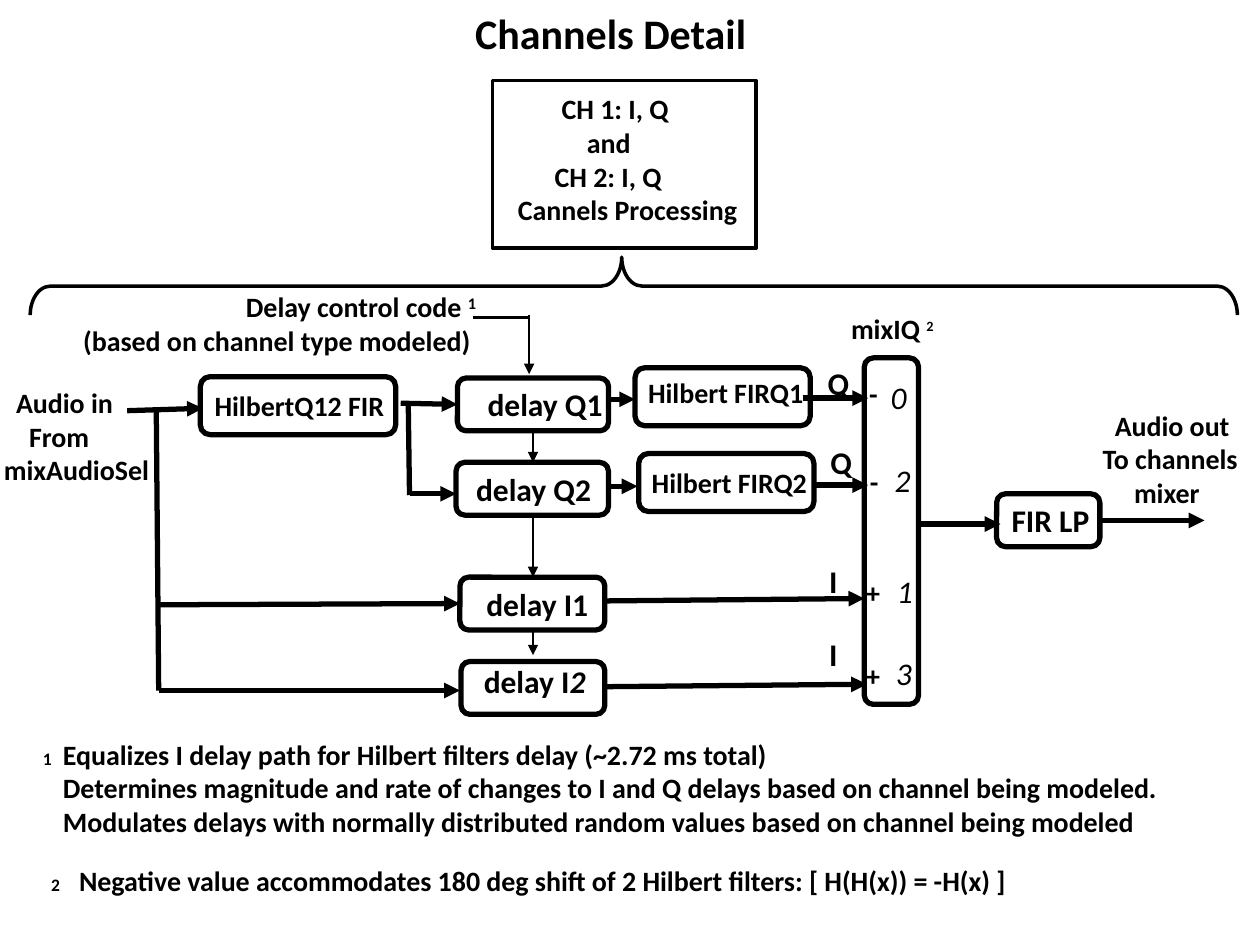
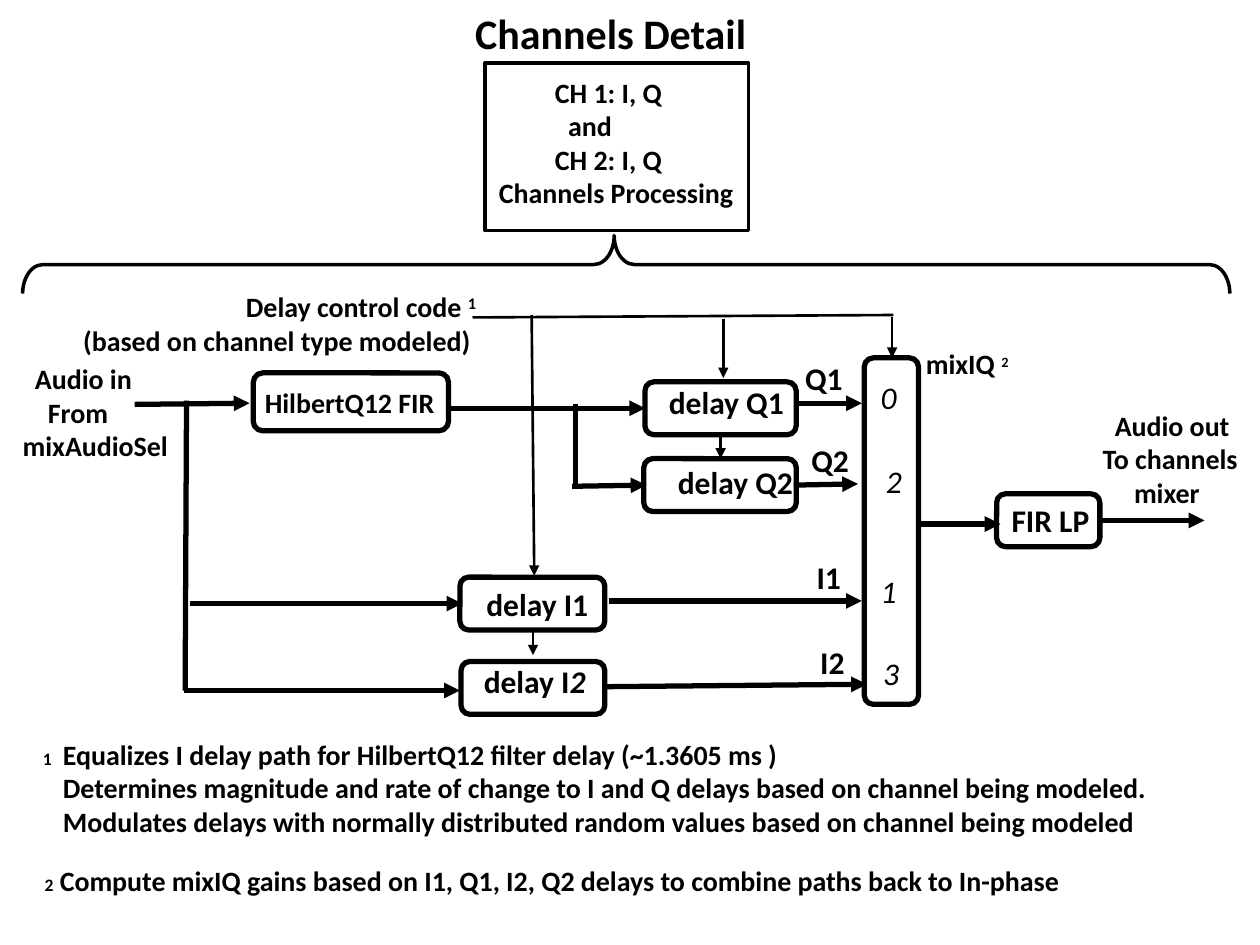
from lxml.etree import SubElement
from pptx import Presentation
from pptx.dml.color import RGBColor
from pptx.enum.shapes import MSO_CONNECTOR, MSO_SHAPE
from pptx.enum.text import MSO_ANCHOR, MSO_AUTO_SIZE, PP_ALIGN
from pptx.oxml.ns import qn
from pptx.util import Pt

INK = "000000"
FONT = "Calibri"
THICK, MEDIUM, THIN = 3, 2, 1.5
NUMBER = {"sz": "1000"}
RAISED = {"baseline": "30000"}
ROUND, RECTANGLE = MSO_SHAPE.ROUNDED_RECTANGLE, MSO_SHAPE.RECTANGLE


def write(frame, lines, size, bold=True, italic=False, align=PP_ALIGN.LEFT, insets=(0, 0, 0, 0)):
    """Fill a frame with lines of (indent, run, ...); a run is a string or (string, attributes).

    A first run that ends in a tab hangs to the left of the indent.
    """
    frame.word_wrap = True
    frame.auto_size = MSO_AUTO_SIZE.NONE
    frame.margin_left, frame.margin_top, frame.margin_right, frame.margin_bottom = map(Pt, insets)
    for number, (indent, *runs) in enumerate(lines):
        paragraph = frame.add_paragraph() if number else frame.paragraphs[0]
        paragraph.alignment = align
        properties = paragraph._p.get_or_add_pPr()
        properties.set("marL", str(Pt(indent)))
        for text in runs:
            text, attributes = (text, {}) if isinstance(text, str) else text
            run = paragraph.add_run()
            run.text = text
            for name, value in attributes.items():
                run._r.get_or_add_rPr().set(name, value)
        properties.set("indent", str(-Pt(indent) if paragraph.runs[0].text.endswith("\t") else 0))
        paragraph.font.name = FONT
        paragraph.font.size = Pt(size)
        paragraph.font.bold = bold
        paragraph.font.italic = italic
        paragraph.font.color.rgb = RGBColor.from_string(INK)


def outline(shape, width, arrow=False):
    """Draw a line of the given width, without shadow."""
    shape.line.color.rgb = RGBColor.from_string(INK)
    shape.line.width = Pt(width)
    if arrow:
        SubElement(shape.line._get_or_add_ln(), qn("a:tailEnd"), type="triangle")
    SubElement(shape._element.spPr, qn("a:effectLst"))


# Boxes: preset, left, top, width, height, line width, lines, text size, left inset, rise of text
shared_boxes = [
    (ROUND, 262.8, 329.8, 82.8, 30.2, THICK, [(0, "delay I1")], 18, 13.7, 0),
    (ROUND, 263.5, 378, 82.1, 30.2, THICK, [(0, "delay I", ("2", {"i": "1"}))], 18, 11.5, 4.3),
    (ROUND, 569.5, 282.2, 59, 30.2, THICK, [(0, "FIR LP")], 18, 7.2, 0),
    (ROUND, 493.9, 204.5, 31, 198, THICK, [], 18, 0, 0),
]
# Lines: from x, from y, to x, to y, width, arrowhead
shared_lines = [
    (628.6, 297.4, 688.3, 297.4, THICK, True),
    (524.9, 299.5, 571.7, 299.5, THICK, True),
    (345.6, 392.4, 495.4, 391, THICK, True),
    (304.6, 360, 304.6, 374.4, THIN, True),
]
# Texts: left, top, width, lines
audio_in = [(7, "Audio in"), (14.4, "From"), (0, "mixAudioSel")]
mixer_name = [(0, "mixIQ ", ("2", {"sz": "1400", **RAISED}))]
modulation_note = (11.5, "Modulates delays with normally distributed random values based on channel being modeled")
shared_texts = [
    (630, 233.3, 85, [(7, "Audio out"), (0, "To channels"), (18, "mixer")]),
    (47.5, 165.6, 240, [(93, "Delay control code ", ("1", RAISED)),
                        (0, "(based on channel type modeled)")]),
]

hilbert_filters = {
    "brace": (345.6, -181.4),
    "boxes": [
        (RECTANGLE, 281.5, 46.1, 150.5, 95.8, MEDIUM,
         [(25, "CH 1: I, Q"), (39.5, "and"), (21, "CH 2: I, Q"), (0, "Cannels Processing")], 16, 14.4, 3),
        (ROUND, 114.5, 215.3, 111.6, 33.1, THICK, [(0, "HilbertQ12 FIR")], 16, 6.5, 0),
        (ROUND, 261.4, 216, 86.4, 30.2, THICK, [(0, "delay Q1")], 18, 15.8, 0),
        (ROUND, 260.6, 264.2, 87.1, 30.2, THICK, [(0, "delay Q2")], 18, 10, 0),
        (ROUND, 362.9, 210.2, 100.1, 33.1, THICK, [(0, "Hilbert FIRQ1")], 16, 5.8, 2.5),
        (ROUND, 365, 259.2, 100.1, 33.1, THICK, [(0, "Hilbert FIRQ2")], 16, 5.8, 0),
    ],
    "lines": [
        (72.7, 234.7, 115.9, 233.3, THICK, True),
        (90.7, 394.6, 89.3, 234.7, THICK, False),
        (89.3, 345.6, 262.8, 344.9, THICK, True),
        (90.7, 394.6, 262.8, 394.6, THICK, True),
        (229, 230.4, 261.4, 231.1, THICK, True),
        (234, 283, 233.3, 231.1, THICK, False),
        (234, 282.2, 260.6, 282.2, THICK, True),
        (347, 228.2, 362.9, 228.2, THICK, True),
        (349.2, 277.9, 364.3, 277.9, THICK, True),
        (458.6, 227.5, 496.1, 227.5, THICK, True),
        (465.1, 277.2, 496.1, 277.2, THICK, True),
        (344.9, 343.4, 493.9, 342, THICK, True),
        (270, 181.4, 302.4, 181.4, THIN, False),
        (302.4, 180, 302.4, 213.8, THIN, True),
        (304.6, 246.2, 304.6, 264.2, THIN, True),
        (304.6, 294.5, 304.6, 329.8, THIN, True),
    ],
    "texts": [
        (2.2, 220.3, 100, audio_in),
        (486.3, 177.8, 70, mixer_name),
        (496.6, 215.3, 14, [(0, "-")]),
        (497.1, 265.7, 14, [(0, "-")]),
        (494.9, 329, 14, [(0, "+")]),
        (494.9, 376.6, 14, [(0, "+")]),
        (24.5, 421.2, 690, [
            (11.5, ("1\t", NUMBER), "Equalizes I delay path for Hilbert filters delay (~2.72 ms total)"),
            (11.5, "Determines magnitude and rate of changes to I and Q delays based on channel being modeled."),
            modulation_note]),
        (29.2, 493.2, 620, [
            (16, ("2\t", NUMBER),
             "Negative value accommodates 180 deg shift of 2 Hilbert filters: [ H(H(x)) = -H(x) ]")]),
    ],
    "paths": [("Q", 473, 208.1), ("Q", 474.5, 253.4), ("I", 473.8, 321.1), ("I", 473.8, 362.9)],
    "inputs": [("0", 509, 216), ("2", 511.2, 263.5), ("1", 512.6, 326.9), ("3", 511.9, 373.7)],
}

mixer_gains = {
    "brace": (341.3, -193.7),
    "boxes": [
        (RECTANGLE, 277.2, 36, 150.5, 95.8, MEDIUM,
         [(32, "CH 1: I, Q"), (39.5, "and"), (32, "CH 2: I, Q"), (0, "Channels Processing")], 16, 7.9, 2.5),
        (ROUND, 144.7, 213.1, 111.6, 33.1, THICK, [(0, "HilbertQ12 FIR")], 16, 5, 0),
        (ROUND, 368.6, 218.2, 86.4, 30.2, THICK, [(0, "delay Q1")], 18, 12.2, 3.6),
        (ROUND, 367.9, 262.1, 87.1, 30.2, THICK, [(0, "delay Q2")], 18, 18, 2),
    ],
    "lines": [
        (77, 231.1, 142.6, 230.4, THICK, True),
        (105.8, 394.6, 106.6, 229, THICK, False),
        (108.7, 344.9, 264.2, 344.9, THICK, True),
        (105.1, 394.6, 262.8, 394.6, THICK, True),
        (254.9, 233.3, 368.6, 233.3, THICK, True),
        (329, 279.4, 329, 231.1, THICK, False),
        (326.9, 277.9, 369.4, 277.2, THICK, True),
        (455, 230.4, 492.5, 230.4, THICK, True),
        (453.6, 277.2, 490.3, 276.5, THICK, True),
        (347.8, 343.4, 492.5, 343.4, THICK, True),
        (270, 181.4, 510.5, 180, THIN, False),
        (303.8, 180, 305.3, 329, THIN, True),
        (413.3, 182.2, 413.3, 216, THIN, True),
        (411.8, 247.7, 411.8, 262.1, THIN, True),
        (509.8, 181.4, 509.8, 204.5, THIN, True),
    ],
    "texts": [
        (13, 206.6, 100, audio_in),
        (529.1, 198, 70, mixer_name),
        (24.5, 421.2, 690, [
            (11.5, ("1\t", NUMBER), "Equalizes I delay path for HilbertQ12 filter delay (~1.3605 ms )"),
            (11.5, "Determines magnitude and rate of change to I and Q delays based on channel being modeled."),
            modulation_note]),
        (25.6, 493.2, 620, [
            (8.6, ("2\t", NUMBER),
             "Compute mixIQ gains based on I1, Q1, I2, Q2 delays to combine paths back to In-phase")]),
    ],
    "paths": [("Q1", 460.1, 205.2), ("Q2", 463.7, 252), ("I1", 466.6, 319), ("I2", 468.7, 367.2)],
    "inputs": [("0", 503.3, 216), ("2", 506.2, 264.2), ("1", 503.3, 326.9), ("3", 504.7, 373.7)],
}

presentation = Presentation()
presentation.slide_width, presentation.slide_height = Pt(720), Pt(540)

for diagram in (hilbert_filters, mixer_gains):
    slide = presentation.slides.add_slide(presentation.slide_layouts[5])
    title = slide.shapes.title
    title.left, title.top, title.width, title.height = Pt(149), Pt(4), Pt(400), Pt(31)
    title.text_frame.vertical_anchor = MSO_ANCHOR.TOP
    write(title.text_frame, [(0, "Channels Detail")], 24, align=PP_ALIGN.CENTER)

    brace_left, brace_top = diagram["brace"]
    brace = slide.shapes.add_shape(
        MSO_SHAPE.LEFT_BRACE, Pt(brace_left), Pt(brace_top), Pt(33.1), Pt(689.8))
    brace.rotation = 90
    brace.adjustments[0], brace.adjustments[1] = 0.35, 0.51
    brace.fill.background()
    outline(brace, MEDIUM)

    for preset, left, top, width, height, weight, lines, size, inset, rise in shared_boxes + diagram["boxes"]:
        box = slide.shapes.add_shape(preset, Pt(left), Pt(top), Pt(width), Pt(height))
        box.fill.background()
        outline(box, weight)
        box.text_frame.vertical_anchor = MSO_ANCHOR.MIDDLE
        write(box.text_frame, lines, size, insets=(inset, 0, 0, 2 * rise))

    for from_x, from_y, to_x, to_y, weight, arrow in shared_lines + diagram["lines"]:
        connector = slide.shapes.add_connector(
            MSO_CONNECTOR.STRAIGHT, Pt(from_x), Pt(from_y), Pt(to_x), Pt(to_y))
        outline(connector, weight, arrow)

    for left, top, width, lines in shared_texts + diagram["texts"]:
        text_box = slide.shapes.add_textbox(Pt(left), Pt(top), Pt(width), Pt(20 * len(lines)))
        write(text_box.text_frame, lines, 16)

    for kind, italic in (("paths", False), ("inputs", True)):
        for label, left, top in diagram[kind]:
            text_box = slide.shapes.add_textbox(Pt(left), Pt(top), Pt(28), Pt(22))
            write(text_box.text_frame, [(0, label)], 18, bold=not italic, italic=italic)

presentation.save("out.pptx")
